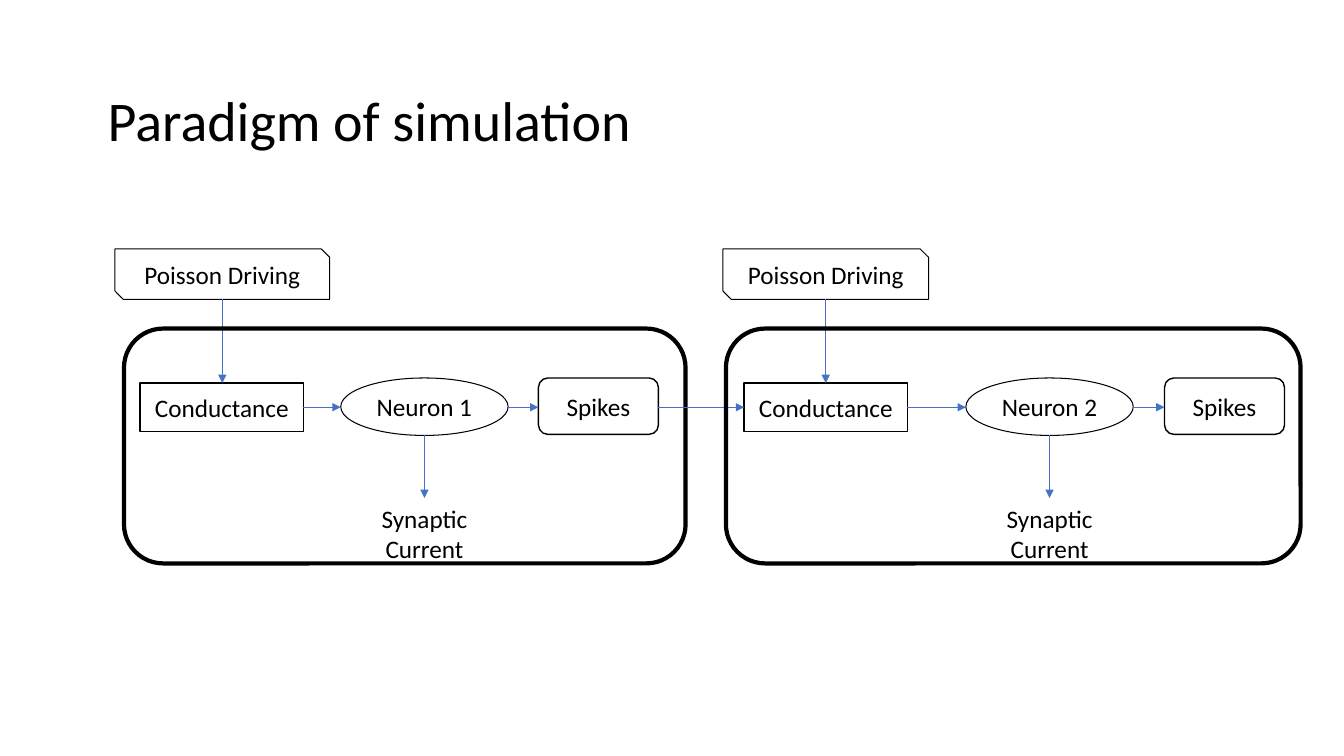
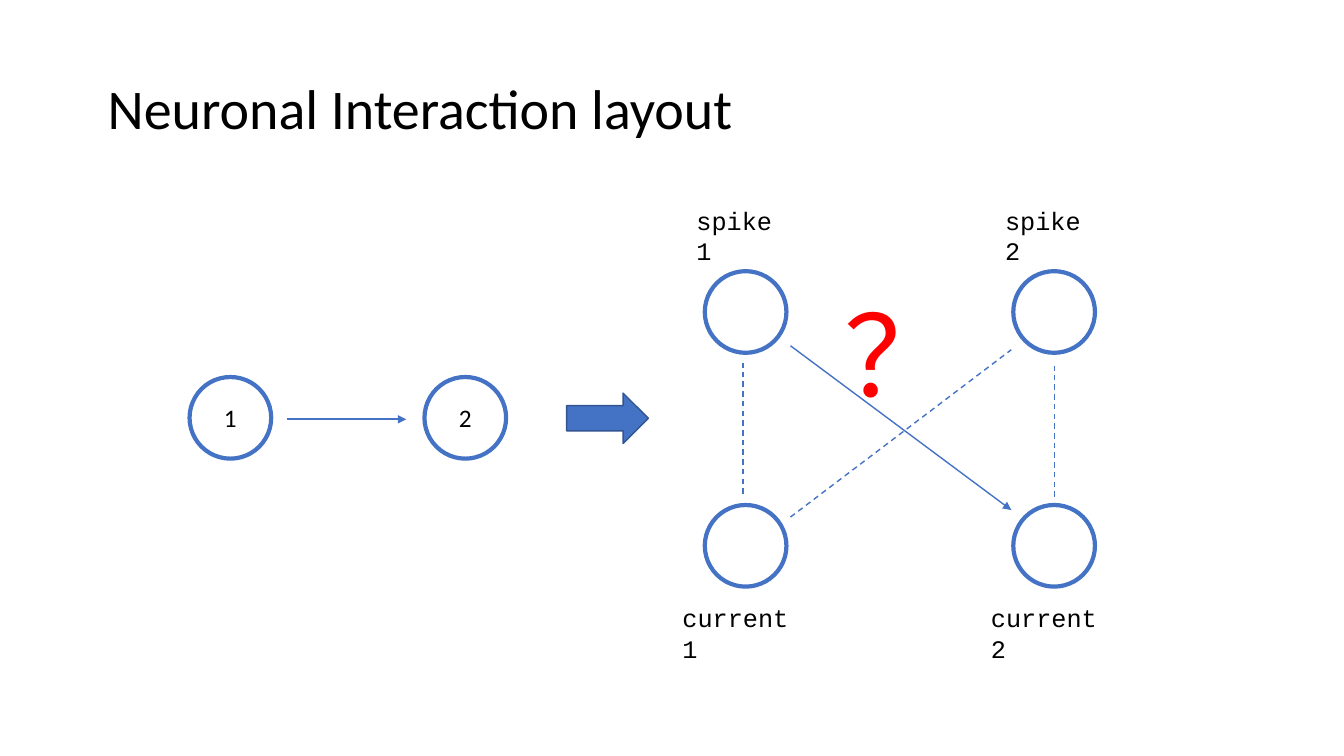
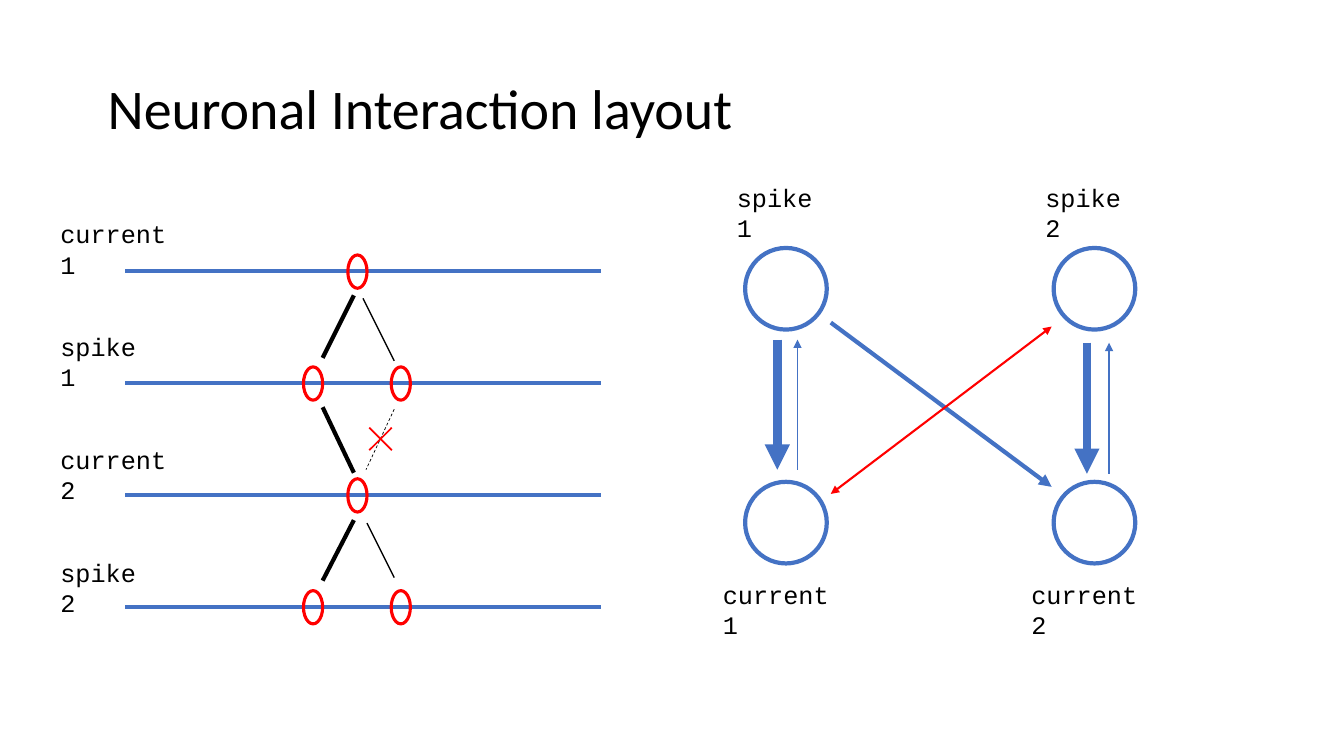
"""Builds three slides on simulated neurons and how they interact."""
from lxml import etree
from pptx import Presentation
from pptx.dml.color import RGBColor
from pptx.enum.dml import MSO_LINE
from pptx.enum.shapes import MSO_CONNECTOR, MSO_SHAPE as SHAPE
from pptx.enum.text import MSO_ANCHOR as ANCHOR, PP_ALIGN as ALIGN
from pptx.oxml.ns import qn
from pptx.util import Pt

PX = 9144
BLACK, BLUE, NAVY, RED = "000000", "4472C4", "325491", "FF0000"
SANS, MONO = "Calibri", "Courier New"

PARADIGM_TITLE = "Paradigm of simulation"
LAYOUT_TITLE = "Neuronal Interaction layout"

NEURONS = [
    dict(name="Neuron 1", driver=(114, 213), conductance=139, neuron=338, spikes=534, panel=(123, 557)),
    dict(name="Neuron 2", driver=(717, 204), conductance=738, neuron=958, spikes=1155, panel=(720, 570)),
]

NETWORK_LABELS = [("spike 1", 681, 199, 117), ("spike 2", 987, 199, 117),
                  ("current 1", 667, 593, 145), ("current 2", 973, 593, 145)]
NETWORK_NODES = [(x, y) for x in (699, 1005) for y in (269, 501)]
NODE = 81
FALLING, RISING = (784, 343, 1003, 506), (784, 513, 1003, 347)

PAIR = [("1", 188), ("2", 421)]
DASHED_LINKS = [(737, 490, 737, 360), (1046, 493, 1046, 363)]

TRACES = [("current 1", 145, [345]), ("spike 1", 117, [301, 388]),
          ("current 2", 145, [345]), ("spike 2", 117, [301, 388])]
TRACE_TOP, TRACE_GAP = 269, 111
LABEL_TOP, LABEL_GAP = 212, 112
STRONG_PATHS = [(320, 355, 351, 293), (320, 404, 351, 469), (351, 516, 320, 576)]
WEAK_PATHS = [(364, 519, 391, 573), (360, 296, 391, 358)]
BROKEN_PATH = (391, 406, 363, 466)
FORWARD_LINKS = [(771, 337, 771, 466), (1078, 340, 1078, 470)]
BACK_LINKS = [(791, 466, 791, 337), (1100, 470, 1100, 340)]


def rgb(value):
    return RGBColor.from_string(value)


def put_text(sp, text, size=18, font=SANS, color=BLACK, align=ALIGN.LEFT, anchor=ANCHOR.TOP, spacing=None):
    tf = sp.text_frame
    tf.word_wrap = True
    tf.vertical_anchor = anchor
    p = tf.paragraphs[0]
    p.alignment = align
    p.line_spacing = spacing
    r = p.add_run()
    r.text = text
    r.font.size, r.font.name = Pt(size), font
    r.font.color.rgb = rgb(color)


def label(s, text, x, y, w, h, **style):
    put_text(s.shapes.add_textbox(x * PX, y * PX, w * PX, h * PX), text, **style)


def shape(s, kind, x, y, w, h, line=None, weight=1, fill=None, text=None):
    sp = s.shapes.add_shape(kind, x * PX, y * PX, w * PX, h * PX)
    sp.shadow.inherit = False
    if fill:
        sp.fill.solid()
        sp.fill.fore_color.rgb = rgb(fill)
    else:
        sp.fill.background()
    if line:
        sp.line.color.rgb = rgb(line)
        sp.line.width = Pt(weight)
    else:
        sp.line.fill.background()
    if text:
        put_text(sp, text, align=ALIGN.CENTER, anchor=ANCHOR.MIDDLE)
    return sp


def line(s, ends, color=BLUE, weight=1, dash=False, head=False, tail=False):
    c = s.shapes.add_connector(MSO_CONNECTOR.STRAIGHT, *(round(v * PX) for v in ends))
    c.line.color.rgb = rgb(color)
    c.line.width = Pt(weight)
    if dash:
        c.line.dash_style = MSO_LINE.DASH
    ln = c.line._get_or_add_ln()
    for tag, wanted in (("a:headEnd", head), ("a:tailEnd", tail)):
        if wanted:
            etree.SubElement(ln, qn(tag), type="triangle")
    etree.SubElement(c._element.spPr, qn("a:effectLst"))


def titled_slide(prs, title, y):
    s = prs.slides.add_slide(prs.slide_layouts[6])
    label(s, title, 97, y, 702, 82, size=40, anchor=ANCHOR.MIDDLE, spacing=0.9)
    return s


def network(s, dx=0, dy=0):
    for text, x, y, w in NETWORK_LABELS:
        label(s, text, x + dx, y + dy, w, 40, font=MONO)
    for x, y in NETWORK_NODES:
        shape(s, SHAPE.OVAL, x + dx, y + dy, NODE, NODE, BLUE, 3)


def shifted(ends, dx, dy):
    x1, y1, x2, y2 = ends
    return x1 + dx, y1 + dy, x2 + dx, y2 + dy


def paradigm_slide(prs):
    s = titled_slide(prs, PARADIGM_TITLE, 81)
    flow_y = 404
    previous_end = None
    for n in NEURONS:
        driver_x, driver_w = n["driver"]
        panel_x, panel_w = n["panel"]
        shape(s, SHAPE.SNIP_2_DIAG_RECTANGLE, driver_x, 247, driver_w, 50, BLACK, 0.75, text="Poisson Driving")
        shape(s, SHAPE.RECTANGLE, n["conductance"], 380, 162, 48, BLACK, text="Conductance")
        shape(s, SHAPE.OVAL, n["neuron"], 375, 166, 57, BLACK, 0.75, text=n["name"])
        shape(s, SHAPE.ROUNDED_RECTANGLE, n["spikes"], 375, 119, 56, BLACK, text="Spikes")
        center = n["neuron"] + 83
        label(s, "Synaptic Current", center - 57, 494, 114, 71, align=ALIGN.CENTER)
        driver_mid = driver_x + driver_w / 2
        arrows = [(driver_mid, 297, driver_mid, 380),
                  (n["conductance"] + 162, flow_y, n["neuron"], flow_y),
                  (n["neuron"] + 166, flow_y, n["spikes"], flow_y),
                  (center, 432, center, 494)]
        if previous_end:
            arrows.append((previous_end, flow_y, n["conductance"], flow_y))
        for ends in arrows:
            line(s, ends, weight=0.5, tail=True)
        previous_end = n["spikes"] + 119
        shape(s, SHAPE.ROUNDED_RECTANGLE, panel_x, 326, panel_w, 233, BLACK, 3)


def question_slide(prs):
    s = titled_slide(prs, LAYOUT_TITLE, 69)
    network(s)
    for ends in DASHED_LINKS + [RISING]:
        line(s, ends, dash=True)
    line(s, FALLING, tail=True)
    label(s, "？", 828, 278, 132, 145, size=80, color=RED)
    for text, x in PAIR:
        shape(s, SHAPE.OVAL, x, 374, NODE, NODE, BLUE, 3, text=text)
    line(s, (285, 416, 403, 416), weight=1.5, tail=True)
    shape(s, SHAPE.RIGHT_ARROW, 562, 390, 81, 50, NAVY, fill=BLUE)


def traces_slide(prs):
    s = titled_slide(prs, LAYOUT_TITLE, 69)
    for i, (text, w, events) in enumerate(TRACES):
        y = TRACE_TOP + i * TRACE_GAP
        line(s, (124, y, 596, y), weight=3)
        label(s, text, 50, LABEL_TOP + i * LABEL_GAP, w, 40, font=MONO)
        for x in events:
            shape(s, SHAPE.OVAL, x, y - 16, 19, 33, RED, 2.25)
    for ends in STRONG_PATHS:
        line(s, ends, BLACK, 3)
    for ends in WEAK_PATHS:
        line(s, ends, BLACK)
    line(s, BROKEN_PATH, BLACK, 0.5, dash=True)
    cross = shape(s, SHAPE.MATH_MULTIPLY, 356, 414, 43, 43, fill=RED)
    cross.adjustments[0] = 0.04

    dx, dy = 40, -23
    network(s, dx, dy)
    for ends in FORWARD_LINKS:
        line(s, ends, weight=6, tail=True)
    for ends in BACK_LINKS:
        line(s, ends, tail=True)
    line(s, shifted(FALLING, dx, dy), weight=3, tail=True)
    line(s, shifted(RISING, dx, dy), RED, 1.5, head=True, tail=True)


def main():
    prs = Presentation()
    prs.slide_width, prs.slide_height = 1333 * PX, 750 * PX
    paradigm_slide(prs)
    question_slide(prs)
    traces_slide(prs)
    prs.save("out.pptx")


if __name__ == "__main__":
    main()
